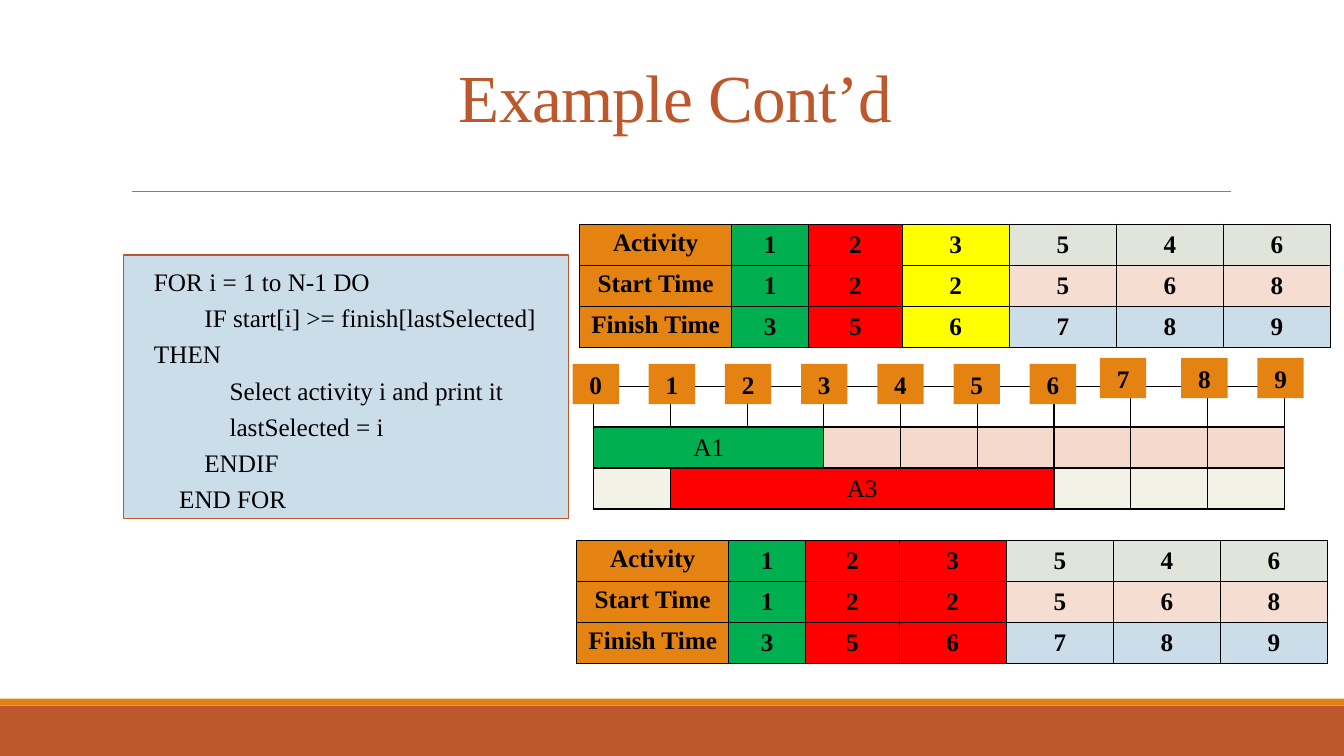
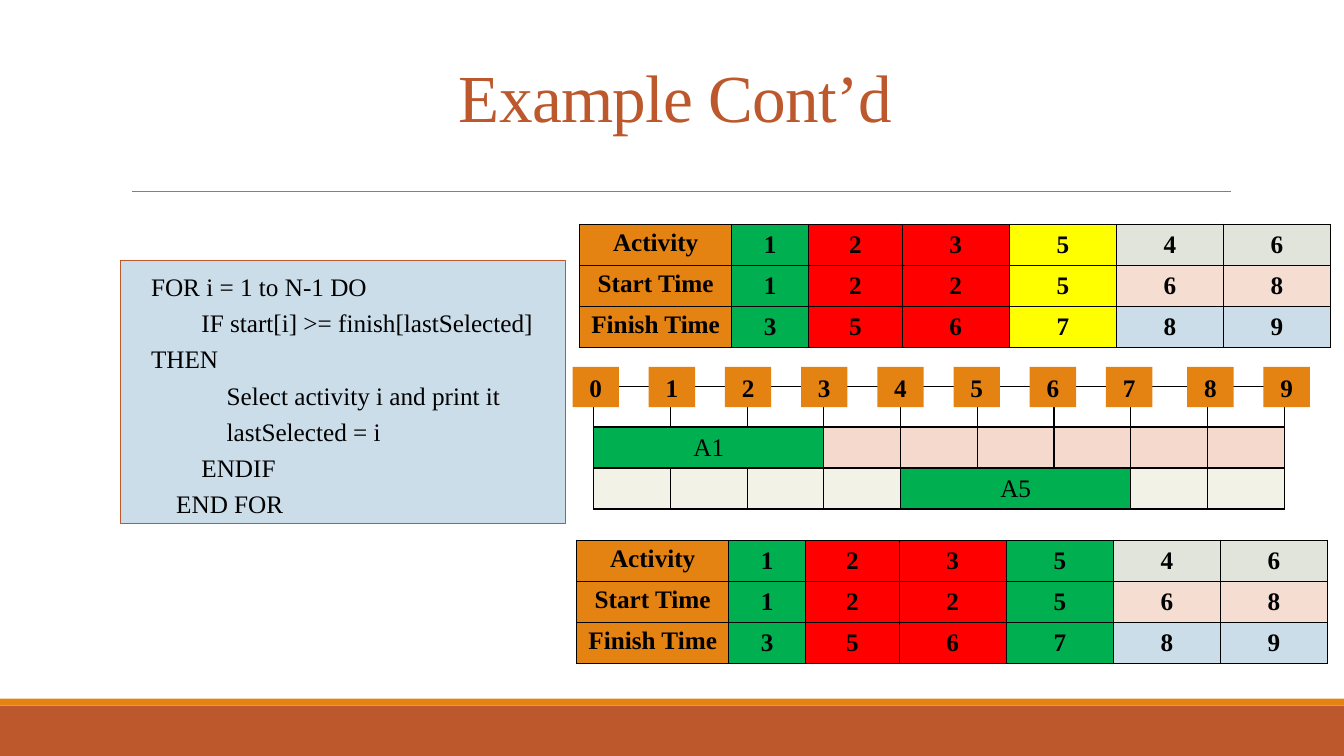
from lxml.etree import SubElement
from pptx import Presentation
from pptx.dml.color import RGBColor
from pptx.enum.shapes import MSO_CONNECTOR, MSO_SHAPE
from pptx.enum.text import MSO_ANCHOR, PP_ALIGN
from pptx.oxml.ns import qn
from pptx.util import Inches, Pt

HUE = {
    "rust": "BD582C", "orange": "E48312", "gray": "808080", "black": "000000",
    "white": "FFFFFF", "green": "00B050", "red": "FF0000", "yellow": "FFFF00",
    "sage": "E0E4DB", "peach": "F5DDD2", "blue": "CCDDEA",
    "rose": "F5D9CC", "cream": "F3F2E6",
}
RGB = {name: RGBColor.from_string(code) for name, code in HUE.items()}

deck = Presentation()
deck.slide_width, deck.slide_height = Inches(13.33), Inches(7.5)

# Grid: 100 columns by 100 rows over the slide
COL, ROW = deck.slide_width / 100, deck.slide_height / 100

# Shared measures, in columns and rows
BANDS = [("rust", 93.33, 6.67), ("orange", 92.4, 0.93)]
DATA_COLS = [11.33, 5.7, 6.98] + [7.97] * 4
TIME_COLS = [5.71] * 9
LINE_H = 5.42
TICK_W, TICK_H, TICK_GAP = 3.45, 5.33, 5.67

# Shared content
TITLE = "Example Cont’d"
CODE = [  # indent of the first line in inches, text
    (0, "FOR i = 1 to N-1 DO"),
    (0.5, "IF start[i] >= finish[lastSelected] THEN"),
    (0.75, "Select activity i and print it"),
    (0.75, "lastSelected = i"),
    (0.5, "ENDIF"),
    (0.25, "END FOR"),
]
DATA = [
    ("Activity", "123546", "sage"),
    ("Start Time", "122568", "peach"),
    ("Finish Time", "356789", "blue"),
]

# What differs: column states before and after, bars (row, start, end,
# text, hue), code corner, tick row, shift of the last three ticks
STEPS = [
    {"before": ["green", "red", "yellow"], "after": ["green", "red", "red"],
     "bars": [(1, 0, 3, "A1", "green"), (2, 1, 6, "A3", "red")],
     "code": (9.22, 33.73), "tick": 48.13, "shift": (-0.45, -0.8)},
    {"before": ["green", "red", "red", "yellow"],
     "after": ["green", "red", "red", "green"],
     "bars": [(1, 0, 3, "A1", "green"), (2, 4, 7, "A5", "green")],
     "code": (9, 34.4), "tick": 48.53, "shift": (0, 0)},
]


def block(slide, hue, x, y, wide, high):
    """Add a filled rectangle placed on the grid."""
    rect = slide.shapes.add_shape(
        MSO_SHAPE.RECTANGLE, int(COL * x), int(ROW * y), int(COL * wide), int(ROW * high))
    rect.shadow.inherit = False
    rect.fill.solid()
    rect.fill.fore_color.rgb = RGB[hue]
    rect.line.fill.background()
    return rect


def style(par, align=PP_ALIGN.CENTER, size=18, bold=False, hue="black"):
    """Set the type of a paragraph."""
    par.alignment = align
    font = par.font
    font.name, font.size, font.bold = "Times New Roman", Pt(size), bold
    font.color.rgb = RGB[hue]


for step in STEPS:
    slide = deck.slides.add_slide(deck.slide_layouts[6])

    # Bands and rule
    for hue, y, high in BANDS:
        block(slide, hue, 0, y, 100, high)
    rule = slide.shapes.add_connector(
        MSO_CONNECTOR.STRAIGHT, int(COL * 9.83), int(ROW * 25.33),
        int(COL * 91.58), int(ROW * 25.33))
    rule.line.color.rgb = RGB["gray"]
    rule.line.width = Pt(0.5)
    SubElement(rule._element.spPr, qn("a:effectLst"))

    # Title
    frame = slide.shapes.add_textbox(
        int(COL * 9), int(ROW * 6.67), int(COL * 82.5), int(ROW * 12)).text_frame
    frame.word_wrap = True
    frame.vertical_anchor = MSO_ANCHOR.BOTTOM
    par = frame.paragraphs[0]
    run = par.add_run()
    run.text = TITLE
    run._r.get_or_add_rPr().set("spc", "-50")
    par.line_spacing = 0.85
    style(par, size=48, hue="rust")

    # Code panel
    panel = block(slide, "blue", *step["code"], 33.08, 34.8)
    panel.line.color.rgb = RGB["rust"]
    panel.line.width = Pt(0.75)
    frame = panel.text_frame
    frame.vertical_anchor = MSO_ANCHOR.TOP
    for i, (dent, text) in enumerate(CODE):
        par = frame.paragraphs[0] if i == 0 else frame.add_paragraph()
        par.text = text
        par.line_spacing = 1.2
        style(par, PP_ALIGN.LEFT)
        props = par._p.get_or_add_pPr()
        props.set("marL", str(Inches(0.2)))
        props.set("indent", str(Inches(dent)))

    # Cells of the two data tables and the timeline: (text, hue)
    before, after = [
        [[(head, "orange")]
         + [(num, state or tint) for num, state in
            zip(nums, step[key] + [None] * (len(nums) - len(step[key])))]
         for head, nums, tint in DATA]
        for key in ("before", "after")]
    times = [[("", hue)] * len(TIME_COLS) for hue in ("white", "rose", "cream")]
    for r, start, end, text, hue in step["bars"]:
        times[r][start] = (text, hue)

    # Tables
    for x, y, cols, cells, bars in (
            (43.12, 29.67, DATA_COLS, before, []),
            (44.17, 51.07, TIME_COLS, times, step["bars"]),
            (42.9, 71.47, DATA_COLS, after, [])):
        table = slide.shapes.add_table(
            len(cells), len(cols), int(COL * x), int(ROW * y),
            int(COL * sum(cols)), int(ROW * LINE_H * len(cells))).table
        table.first_row = table.horz_banding = False
        for c, wide in enumerate(cols):
            table.columns[c].width = int(COL * wide)
        for r, line in enumerate(cells):
            table.rows[r].height = int(ROW * LINE_H)
            for c, (text, hue) in enumerate(line):
                cell = table.cell(r, c)
                cell.text = text
                style(cell.text_frame.paragraphs[0], bold=not bars)
                if hue != "orange":
                    cell.vertical_anchor = MSO_ANCHOR.MIDDLE
                props = cell._tc.get_or_add_tcPr()
                for side in ("lnL", "lnR", "lnT", "lnB"):
                    edge = SubElement(props, qn("a:" + side), w=str(Pt(1)))
                    ink = SubElement(edge, qn("a:solidFill"))
                    SubElement(ink, qn("a:srgbClr"), val=HUE["black"])
                cell.fill.solid()
                cell.fill.fore_color.rgb = RGB[hue]
        for r, start, end, text, hue in bars:
            table.cell(r, start).merge(table.cell(r, end - 1))

    # Time ticks
    for i in range(10):
        dx, dy = step["shift"] if i > 6 else (0, 0)
        nudge = 0.38 if i > 7 else 0
        tick = block(slide, "orange", 42.6 + TICK_GAP * i + nudge + dx,
                     step["tick"] + dy, TICK_W, TICK_H)
        par = tick.text_frame.paragraphs[0]
        par.text = str(i)
        style(par, bold=True)

deck.save("out.pptx")
